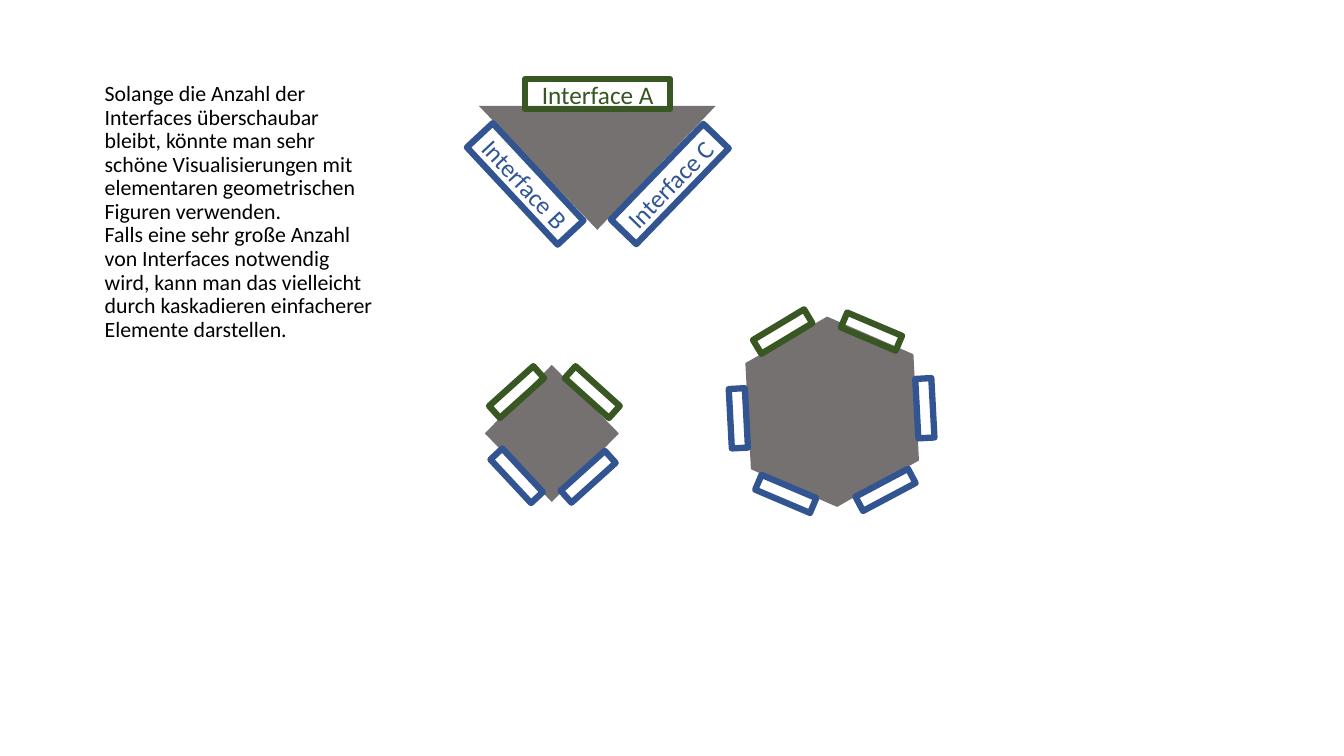
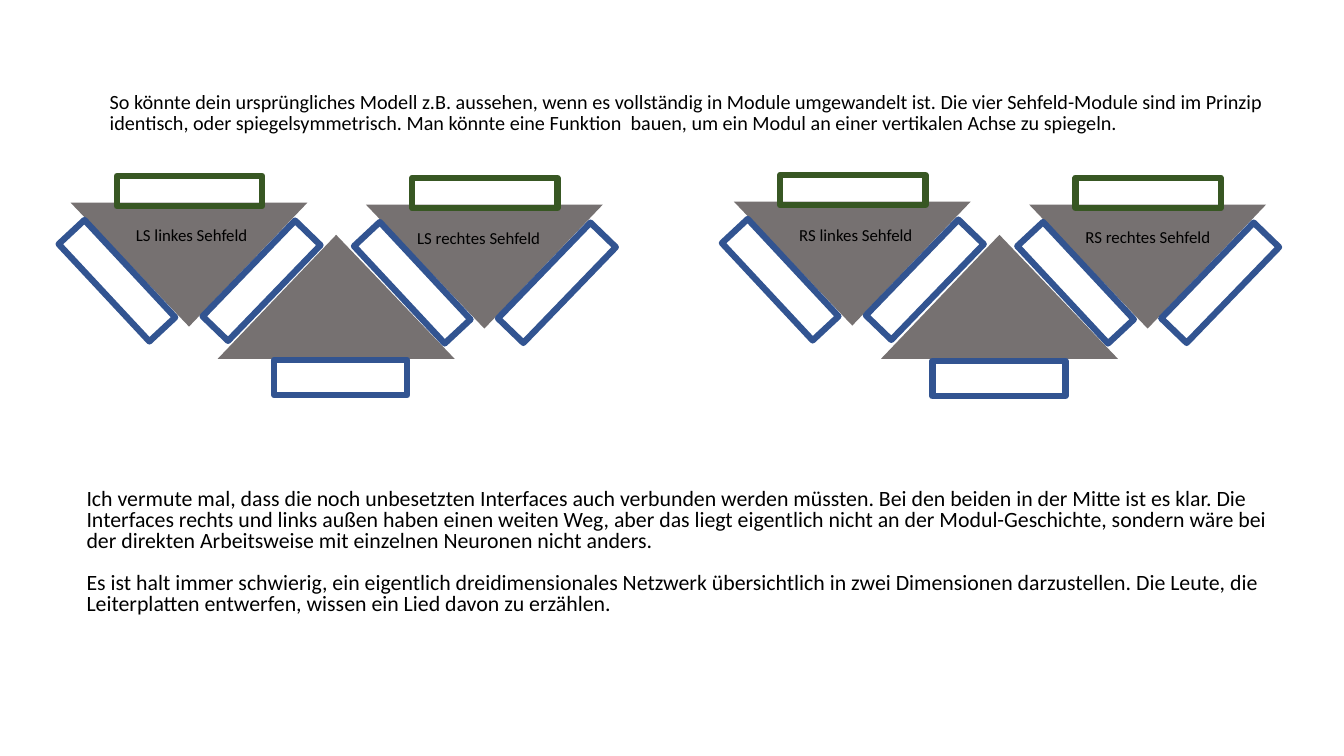
from pptx import Presentation
from pptx import util as u
from pptx.dml.color import RGBColor
from pptx.enum import shapes, text

# Shared grid, colours and sizes: one cell is a tenth of an inch
CELL = u.Inches(0.1)
GREY = RGBColor(0x76, 0x71, 0x71)
BLUE = RGBColor(0x32, 0x54, 0x91)
GREEN = RGBColor(0x38, 0x57, 0x23)
INK_BLUE = RGBColor(0x2F, 0x55, 0x97)
INK_GREEN = RGBColor(0x37, 0x56, 0x23)
BLACK = RGBColor(0, 0, 0)
FONT = "Calibri"
KIND = shapes.MSO_SHAPE
CORE = (23.5, 12.3)
SIDE = (13.2, 3.5)
TOP = (14.4, 3)
PORT = (5.9, 1.6)


def draw(page, kind, spot, size, turn=0, fill=None, line=None):
    """Place a shape in grid cells, either filled or outlined."""
    box = [int(n * CELL) for n in (*spot, *size)]
    shape = page.shapes.add_shape(kind, *box)
    shape.shadow.inherit = False
    shape.rotation = turn
    if fill is None:
        shape.fill.background()
    else:
        shape.fill.solid()
        shape.fill.fore_color.rgb = fill
    if line is None:
        shape.line.fill.background()
    else:
        shape.line.color.rgb = line
        shape.line.width = u.Pt(4.5)
    return shape


def write(page, words, spot=None, size=None, host=None, pt=15.6, ink=BLACK,
          lead=None, gap=0, wrap=True):
    """Write paragraphs in a new text box, or centred in a host shape."""
    if host is None:
        box = [int(n * CELL) for n in (*spot, *size)]
        frame = page.shapes.add_textbox(*box).text_frame
    else:
        frame = host.text_frame
        frame.vertical_anchor = text.MSO_ANCHOR.MIDDLE
        frame.margin_left = frame.margin_right = 0
    frame.word_wrap = wrap
    for i, part in enumerate(words):
        para = frame.add_paragraph() if i else frame.paragraphs[0]
        if host is not None:
            para.alignment = text.PP_ALIGN.CENTER
        if lead:
            para.line_spacing = lead
        if i and gap:
            para.space_before = u.Pt(gap)
        run = para.add_run()
        run.text = part
        run.font.name = FONT
        run.font.size = u.Pt(pt)
        run.font.color.rgb = ink


deck = Presentation()
deck.slide_width = int(133.33 * CELL)
deck.slide_height = 75 * CELL
forms, model = [deck.slides.add_slide(deck.slide_layouts[6]) for _ in range(2)]

# Triangle modules with one green and two blue interfaces each
mods = [
    (forms, 47.5, 10.5, True),
    (model, 7, 20.1, False),
    (model, 36.3, 20.3, False),
    (model, 72.8, 20, False),
    (model, 102.1, 20.3, False),
]
# Name, offset from the triangle, size, turn, line, ink
faces = [
    ("Interface A", 4.6, -2.65, TOP, 0, GREEN, INK_GREEN),
    ("Interface B", -2, 6, SIDE, 47, BLUE, INK_BLUE),
    ("Interface C", 12.35, 6, SIDE, 314, BLUE, INK_BLUE),
]
for page, x, y, named in mods:
    draw(page, KIND.ISOSCELES_TRIANGLE, (x, y), CORE, turn=180, fill=GREY)
    for name, dx, dy, size, turn, line, ink in faces:
        face = draw(page, KIND.FLOWCHART_PROCESS, (x + dx, y + dy), size,
                    turn=turn, line=line)
        if named:
            write(page, [name], host=face, pt=18, ink=ink)

# Slide 1: text, hexagon and diamond with their small interfaces
write(forms, [
    "Solange die Anzahl der Interfaces überschaubar bleibt, könnte man sehr "
    "schöne Visualisierungen mit elementaren geometrischen Figuren verwenden.",
    "Falls eine sehr große Anzahl von Interfaces notwendig wird, kann man das "
    "vielleicht durch kaskadieren einfacherer Elemente darstellen.",
], (9.4, 7.7), (28.8, 51.9), lead=0.9)
draw(forms, KIND.HEXAGON, (73.1, 32.5), (18.9, 16.7), turn=87, fill=GREY)
draw(forms, KIND.DIAMOND, (48.1, 36.2), (13.3, 13.6), fill=GREY)
ports = [
    # Diamond
    (48.3, 46.4, 47, BLUE), (55.4, 46.5, 318, BLUE),
    (48.3, 38.1, 318, GREEN), (55.8, 38.1, 42, GREEN),
    # Hexagon
    (75, 48.2, 23, BLUE), (84.9, 47.8, 332, BLUE),
    (88.8, 39.7, 267, BLUE), (70.3, 40.7, 267, BLUE),
    (83.5, 32.1, 23, GREEN), (74.7, 32.1, 329, GREEN),
]
for x, y, turn, line in ports:
    draw(forms, KIND.FLOWCHART_PROCESS, (x, y), PORT, turn=turn, line=line)

# Slide 2: middle modules
for x, foot in ((21.6, (27.2, 35.7)), (87.4, (92.5, 35.8))):
    draw(model, KIND.ISOSCELES_TRIANGLE, (x, 23.3), CORE, fill=GREY)
    draw(model, KIND.FLOWCHART_PROCESS, foot, SIDE, line=BLUE)

# Slide 2: module names
tags = [
    ("LS linkes Sehfeld", 12.5, 21.8, 13.9),
    ("LS rechtes Sehfeld", 40.4, 22.1, 15.3),
    ("RS linkes Sehfeld", 78.3, 21.8, 13.9),
    ("RS rechtes Sehfeld", 106.7, 22, 14.7),
]
for tag, x, y, wide in tags:
    write(model, [tag], (x, y), (wide, 3), pt=12, wrap=False)

# Slide 2: text above and below
write(model, [
    "So könnte dein ursprüngliches Modell z.B. aussehen, wenn es vollständig "
    "in Module umgewandelt ist. Die vier Sehfeld-Module sind im Prinzip "
    "identisch, oder spiegelsymmetrisch. Man könnte eine Funktion  bauen, um "
    "ein Modul an einer vertikalen Achse zu spiegeln.",
], (9.9, 8.6), (119.8, 6.7), pt=14.4, lead=0.9)
write(model, [
    "Ich vermute mal, dass die noch unbesetzten Interfaces auch verbunden "
    "werden müssten. Bei den beiden in der Mitte ist es klar. Die Interfaces "
    "rechts und links außen haben einen weiten Weg, aber das liegt eigentlich "
    "nicht an der Modul-Geschichte, sondern wäre bei der direkten "
    "Arbeitsweise mit einzelnen Neuronen nicht anders.",
    "Es ist halt immer schwierig, ein eigentlich dreidimensionales Netzwerk "
    "übersichtlich in zwei Dimensionen darzustellen. Die Leute, die "
    "Leiterplatten entwerfen, wissen ein Lied davon zu erzählen.",
], (7.6, 48.1), (119.8, 14.3), lead=0.8, gap=15)

deck.save("out.pptx")
